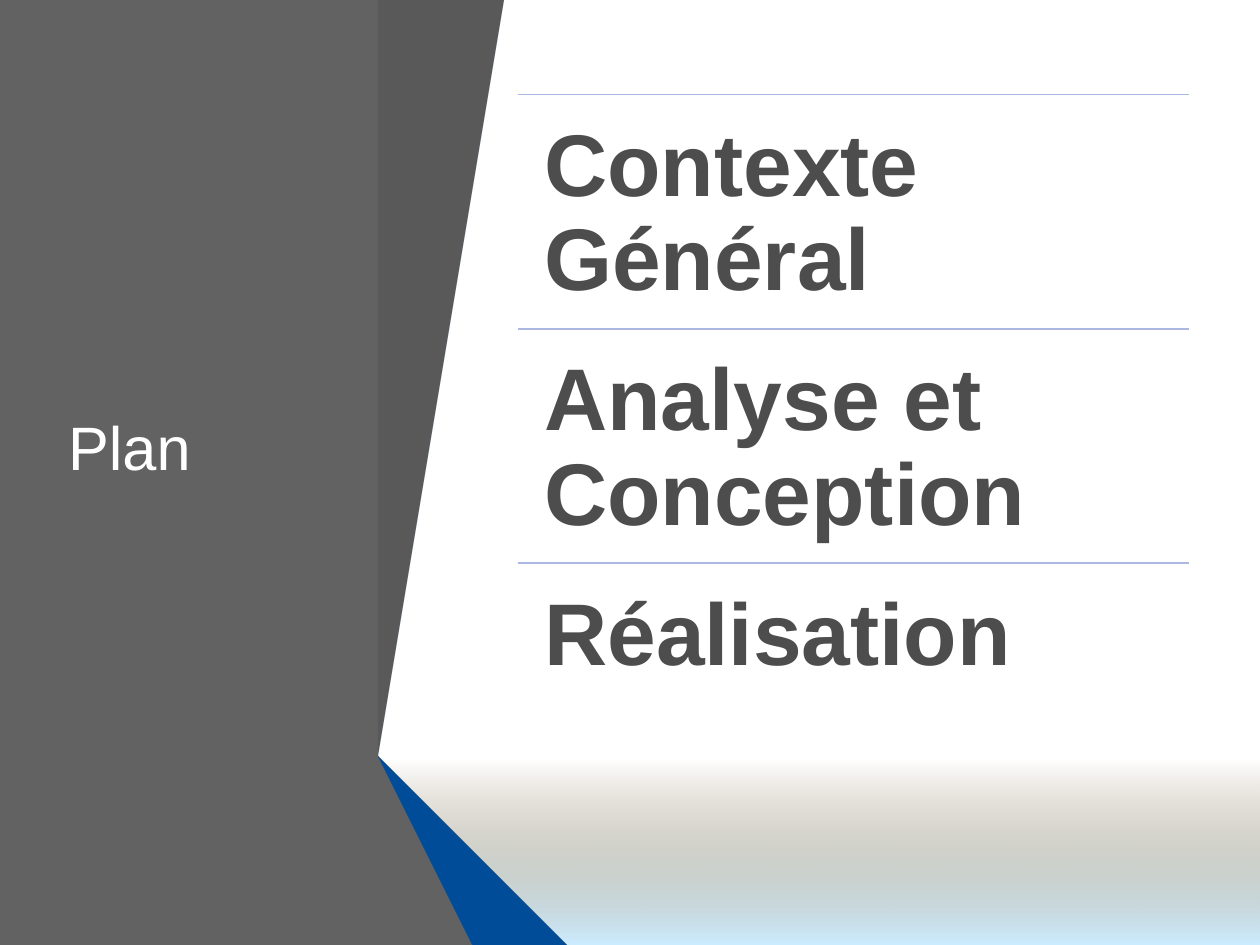
from pptx import Presentation
from pptx import util as u
from pptx.dml.color import RGBColor
from pptx.enum import shapes, text
from pptx.oxml.ns import qn
from lxml import etree

# Content
TITLE = "Plan"
SECTIONS = ["Contexte Général", "Analyse et Conception", "Réalisation"]

THEME = {
    "font": "Arial",
    "title": {"size": 35, "color": "FFFFFF", "bold": False},
    "section": {"size": 50, "color": "4D4D4D", "bold": True},
    "rule": "AAB8E2",
    "floor": ("765E2F", "CCECFF"),
}

# Grid, in inches
WIDTH, HEIGHT = 10, 7.5
FLOOR_TOP = 6.03
LIST_LEFT, LIST_TOP, LIST_WIDTH, ROW = 4.11, 0.75, 5.33, 1.86
INSET = 0.21

# Folded ribbons beside the dark panel: colour, outline
FOLDS = [
    ("626262", [(0, 0), (3.36, 0), (2.67, 5.76), (3.61, HEIGHT), (0, HEIGHT)]),
    ("0066CC", [(2.97, 5.78), (3.17, 5.83), (3.89, 0), (3.68, 0)]),
    ("595959", [(2.72, 5.73), (2.92, 5.77), (3.64, 0), (3.43, 0)]),
    ("262626", [(2.72, 5.73), (3.68, HEIGHT), (3.73, HEIGHT)]),
    ("003366", [(2.97, 5.79), (4.15, HEIGHT), (4.2, HEIGHT)]),
    ("004C99", [(2.97, 5.78), (4.2, HEIGHT), (4.72, HEIGHT), (3.17, 5.83)]),
    ("404040", [(2.72, 5.73), (3.73, HEIGHT), (4.11, HEIGHT), (2.96, 5.83), (2.92, 5.77)]),
]


def rgb(value):
    return RGBColor.from_string(value)


def write(frame, words, style, **frame_format):
    for name, value in frame_format.items():
        setattr(frame, name, value)
    paragraph = frame.paragraphs[0]
    paragraph.alignment = text.PP_ALIGN.LEFT
    run = paragraph.add_run()
    run.text = words
    run.font.name = THEME["font"]
    run.font.size = u.Pt(style["size"])
    run.font.bold = style["bold"]
    run.font.color.rgb = rgb(style["color"])
    return paragraph


def add_floor(slide):
    floor = slide.shapes.add_shape(
        shapes.MSO_SHAPE.RECTANGLE, 0, u.Inches(FLOOR_TOP),
        u.Inches(WIDTH), u.Inches(HEIGHT - FLOOR_TOP))
    floor.shadow.inherit = False
    floor.line.fill.background()
    floor.fill.gradient()
    floor.fill.gradient_angle = 270
    for stop, color, position in zip(floor.fill.gradient_stops, THEME["floor"], (0, 1)):
        stop.color.rgb = rgb(color)
        stop.position = position
    # The upper edge fades out completely
    first_color = next(floor._element.spPr.iter(qn("a:srgbClr")))
    etree.SubElement(first_color, qn("a:alpha")).set("val", "0")


def add_fold(slide, color, outline):
    builder = slide.shapes.build_freeform(*outline[0], scale=u.Inches(1))
    builder.add_line_segments(outline[1:], close=True)
    fold = builder.convert_to_shape()
    fold.shadow.inherit = False
    fold.fill.solid()
    fold.fill.fore_color.rgb = rgb(color)
    fold.line.fill.background()


def add_section(slide, row, words):
    left, top = u.Inches(LIST_LEFT), u.Inches(LIST_TOP + row * ROW)
    width = u.Inches(LIST_WIDTH)
    rule = slide.shapes.add_connector(
        shapes.MSO_CONNECTOR.STRAIGHT, left, top, left + width, top)
    rule.line.color.rgb = rgb(THEME["rule"])
    rule.line.width = u.Pt(1)
    etree.SubElement(rule._element.spPr, qn("a:effectLst"))

    section = slide.shapes.add_textbox(left, top, width, u.Inches(ROW))
    margins = {f"margin_{side}": u.Inches(INSET)
               for side in ("left", "top", "right", "bottom")}
    paragraph = write(section.text_frame, words, THEME["section"], word_wrap=True,
                      vertical_anchor=text.MSO_ANCHOR.TOP, **margins)
    paragraph.line_spacing = 0.9


def main():
    deck = Presentation()
    deck.slide_width, deck.slide_height = u.Inches(WIDTH), u.Inches(HEIGHT)
    slide = deck.slides.add_slide(deck.slide_layouts[5])

    # Backdrop
    add_floor(slide)
    for color, outline in FOLDS:
        add_fold(slide, color, outline)

    # Title, brought in front of the dark panel
    title = slide.shapes.title
    place = {"left": 0.44, "top": LIST_TOP, "width": 2.28, "height": 3 * ROW}
    for name, value in place.items():
        setattr(title, name, u.Inches(value))
    write(title.text_frame, TITLE, THEME["title"], word_wrap=True,
          auto_size=text.MSO_AUTO_SIZE.NONE, vertical_anchor=text.MSO_ANCHOR.MIDDLE)
    slide.shapes._spTree.append(title._element)

    # Sections
    for row, words in enumerate(SECTIONS):
        add_section(slide, row, words)

    deck.save("out.pptx")


if __name__ == "__main__":
    main()
